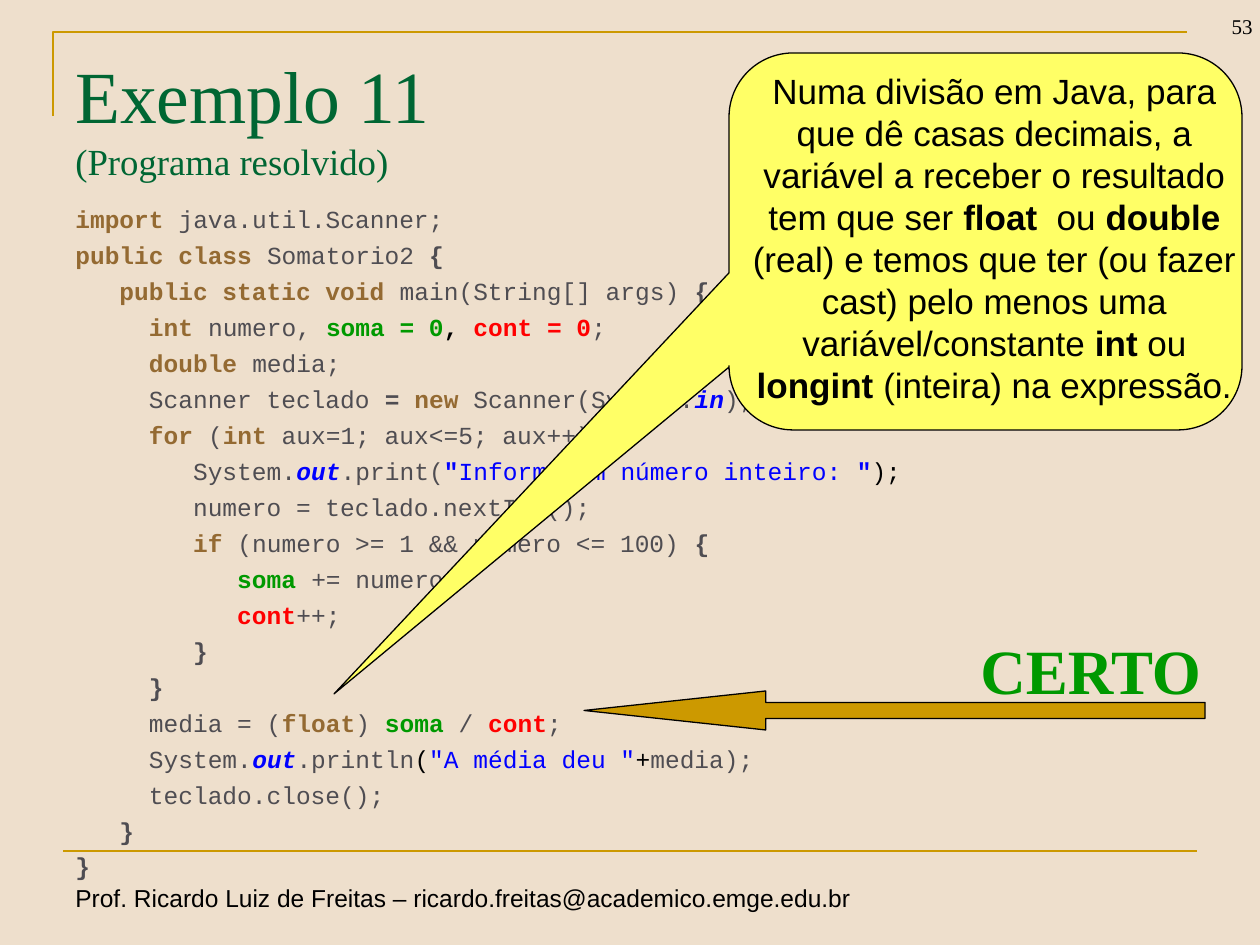
from lxml import etree
from pptx import Presentation
from pptx import util as u
from pptx.dml.color import RGBColor
from pptx.enum import shapes, text
from pptx.oxml.ns import qn

PX_PER_INCH = 126
COLORS = {
    "paper": "EEDFCC", "gold": "CC9900", "black": "000000", "title": "006633",
    "code": "4F4D52", "keyword": "946A32", "green": "009900", "red": "FF0000",
    "blue": "0000FF", "yellow": "FFFF66",
}
# style: colour, bold, italic
STYLES = {
    "plain": ("code", False, False), "strong": ("code", True, False),
    "key": ("keyword", True, False), "sum": ("green", True, False),
    "count": ("red", True, False), "field": ("blue", True, True),
    "quote": ("blue", True, False), "string": ("blue", False, False),
    "mark": ("black", False, False), "bold": ("black", True, False),
}
CODE = [
    [("import ", "key"), ("java.util.Scanner;", "plain")],
    [("public class ", "key"), ("Somatorio2 ", "plain"), ("{", "strong")],
    [("   public static void ", "key"), ("main(String[] args) ", "plain"), ("{", "strong")],
    [("     int ", "key"), ("numero, ", "plain"), ("soma = 0", "sum"), (", ", "bold"),
     ("cont = 0", "count"), (";", "plain")],
    [("     double", "key"), (" media;", "plain")],
    [("     Scanner teclado ", "plain"), ("= ", "strong"), ("new", "key"),
     (" Scanner(System.", "plain"), ("in", "field"), (");", "plain")],
    [("     for", "key"), (" (", "plain"), ("int", "key"),
     (" aux=1; aux<=5; aux++) ", "plain"), ("{", "strong")],
    [("        System.", "plain"), ("out", "field"), (".print(", "plain"), ('"', "quote"),
     ("Informe um número inteiro: ", "string"), ('"', "quote"), (");", "mark")],
    [("        numero = teclado.nextInt();", "plain")],
    [("        if", "key"), (" (numero >= 1 && numero <= 100) ", "plain"), ("{", "strong")],
    [("           soma ", "sum"), ("+= numero", "plain"), (";", "mark")],
    [("           cont", "count"), ("++;", "plain")],
    [("        }", "strong")],
    [("     }", "strong")],
    [("     media = (", "plain"), ("float", "key"), (") ", "plain"), ("soma", "sum"),
     (" / ", "plain"), ("cont", "count"), (";", "plain")],
    [("     System.", "plain"), ("out", "field"), (".println", "plain"), ("(", "mark"),
     ('"A média deu "', "string"), ("+", "mark"), ("media);", "plain")],
    [("     teclado.close();", "plain")],
    [("   }", "strong")],
    [("}", "strong")],
]
ADVICE = [
    ("Numa divisão em Java, para que dê casas decimais, a variável a receber "
     "o resultado tem que ser ", "mark"),
    ("float", "bold"), ("  ou ", "mark"), ("double", "bold"),
    (" (real) e temos que ter (ou fazer cast) pelo menos uma variável/constante ", "mark"),
    ("int ", "bold"), ("ou ", "mark"), ("longint", "bold"),
    (" (inteira) na expressão.", "mark"),
]


def px(n):
    return u.Inches(n / PX_PER_INCH)


def rgb(name):
    return RGBColor.from_string(COLORS[name])


def set_font(font, name, size, color, bold=False):
    font.name, font.size, font.bold = name, u.Pt(size), bold
    font.color.rgb = rgb(color)


def add_box(page, rect, wrap=True, anchor=text.MSO_ANCHOR.TOP):
    box = page.shapes.add_textbox(*map(px, rect))
    box.text_frame.word_wrap = wrap
    box.text_frame.vertical_anchor = anchor
    return box.text_frame


def add_label(page, rect, words, name, size, color, bold=False,
              align=text.PP_ALIGN.LEFT, **frame):
    para = add_box(page, rect, **frame).paragraphs[0]
    para.alignment = align
    set_font(para.font, name, size, color, bold)
    para.add_run().text = words
    return para


def add_spans(para, spans):
    for words, style in spans:
        span = para.add_run()
        span.text = words
        color, span.font.bold, span.font.italic = STYLES[style]
        span.font.color.rgb = rgb(color)


def add_title(page):
    para = add_label(page, (63, 38, 1134, 157), "Exemplo 11", "Times New Roman", 42,
                     "title", anchor=text.MSO_ANCHOR.MIDDLE)
    para.add_line_break()
    span = para.add_run()
    span.text = "(Programa resolvido)"
    span.font.size = u.Pt(21)


def add_code(page):
    frame = add_box(page, (63, 198, 1197, 605))
    for i, spans in enumerate(CODE):
        para = frame.add_paragraph() if i else frame.paragraphs[0]
        if i:
            para.space_before = u.Pt(3.75)
        set_font(para.font, "Courier New", 14, "code")
        add_spans(para, spans)


def add_shape(page, kind, rect, fill, adjustments):
    shape = page.shapes.add_shape(kind, *map(px, rect))
    shape.shadow.inherit = False
    shape.fill.solid()
    shape.fill.fore_color.rgb = rgb(fill)
    shape.line.color.rgb = rgb("black")
    shape.line.width = u.Pt(0.75)
    for i, value in enumerate(adjustments):
        shape.adjustments[i] = value


def add_frame_lines(page):
    """Gold corner at the top and gold rule above the footer."""
    builder = page.shapes.build_freeform(px(53), px(116))
    builder.add_line_segments([(px(53), px(32)), (px(1187), px(32))], close=False)
    corner = builder.convert_to_shape()
    corner.shadow.inherit = False
    corner.fill.background()
    rule = page.shapes.add_connector(shapes.MSO_CONNECTOR.STRAIGHT,
                                     px(63), px(851), px(1197), px(851))
    etree.SubElement(rule._element.spPr, qn("a:effectLst"))
    for outline in (corner, rule):
        outline.line.color.rgb = rgb("gold")
        outline.line.width = u.Pt(1.5)


def add_advice(page):
    add_shape(page, shapes.MSO_SHAPE.ROUNDED_RECTANGULAR_CALLOUT, (729, 53, 513, 377),
              "yellow", (-1.27, 1.2, 0.17))
    para = add_box(page, (729, 63, 531, 352)).paragraphs[0]
    para.alignment = text.PP_ALIGN.CENTER
    set_font(para.font, "Arial", 20, "black")
    add_spans(para, ADVICE)


def main():
    deck = Presentation()
    deck.slide_width, deck.slide_height = px(1260), px(945)
    page = deck.slides.add_slide(deck.slide_layouts[6])
    page.background.fill.solid()
    page.background.fill.fore_color.rgb = rgb("paper")

    add_frame_lines(page)
    add_label(page, (63, 877, 804, 43),
              "Prof. Ricardo Luiz de Freitas – ricardo.freitas@academico.emge.edu.br",
              "Arial", 14, "black", wrap=False)
    add_label(page, (1170, -18, 95, 63), "53", "Times New Roman", 12, "black",
              align=text.PP_ALIGN.RIGHT, anchor=text.MSO_ANCHOR.BOTTOM)
    add_title(page)
    add_code(page)
    add_advice(page)
    add_label(page, (968, 625, 277, 88), "CERTO", "Times New Roman", 36, "green", bold=True)
    add_shape(page, shapes.MSO_SHAPE.LEFT_ARROW, (584, 691, 621, 39), "gold", (0.41, 4.66))
    deck.save("out.pptx")


if __name__ == "__main__":
    main()
